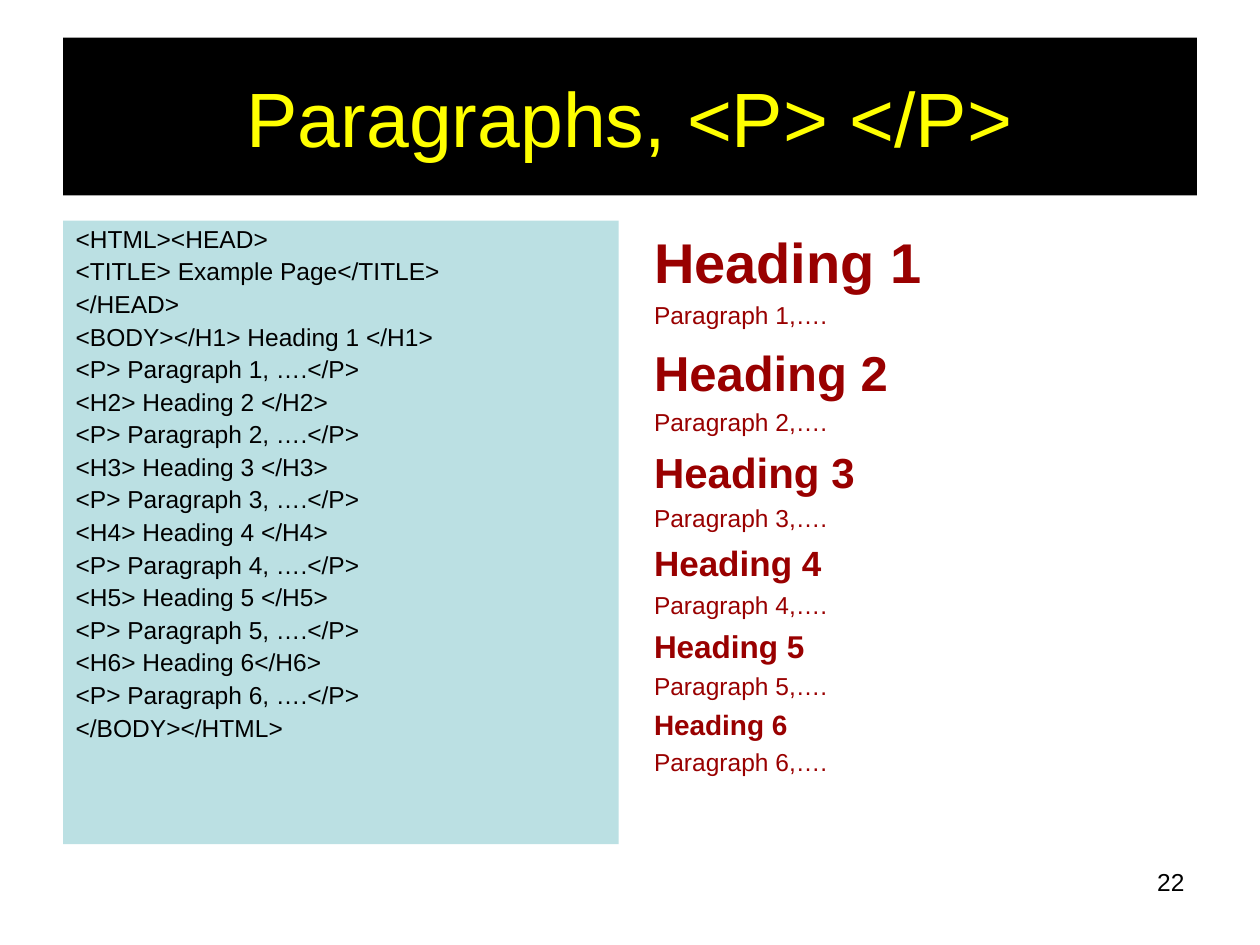
from lxml.etree import SubElement
from pptx import Presentation
from pptx.dml.color import RGBColor
from pptx.enum.text import MSO_ANCHOR as Anchor, MSO_AUTO_SIZE as Fit, PP_ALIGN as Align
from pptx.oxml.ns import qn
from pptx.util import Cm, Pt

BLACK = RGBColor(0x00, 0x00, 0x00)
YELLOW = RGBColor(0xFF, 0xFF, 0x00)
AQUA = RGBColor(0xBB, 0xE0, 0xE3)
RED = RGBColor(0x99, 0x00, 0x00)
FACE = "Arial"
SIZES = [32, 28, 24, 20, 18, 16]
BASE = 14


def place(shape, left, top, width, height, fill=None):
    """Set the box of a shape, its fill and its text frame."""
    shape.left, shape.top = Cm(left), Cm(top)
    shape.width, shape.height = Cm(width), Cm(height)
    if fill is not None:
        shape.fill.solid()
        shape.fill.fore_color.rgb = fill
    frame = shape.text_frame
    frame.word_wrap = True
    frame.auto_size = Fit.NONE
    return frame


def style(para, size, color, bold=False):
    """Format the runs of a paragraph."""
    for run in para.runs:
        font = run.font
        font.name, font.size, font.bold = FACE, Pt(size), bold
        font.color.rgb = color


def label(frame, text, size, color, align):
    """Write one aligned line."""
    frame.text = text
    para = frame.paragraphs[0]
    para.alignment = align
    style(para, size, color)


def fill_list(frame, rows, color, pitch):
    """Write rows of text, size and weight as an unbulleted list."""
    frame.vertical_anchor = Anchor.TOP
    frame.text = "\n".join(text for text, size, bold in rows)
    for i, (para, (text, size, bold)) in enumerate(zip(frame.paragraphs, rows)):
        props = para._p.get_or_add_pPr()
        props.set("marL", str(Cm(0.95)))
        props.set("indent", str(-Cm(0.95)))
        SubElement(props, qn("a:buNone"))
        para.line_spacing = pitch
        para.space_before = Pt(size / 4 if i else 0)
        style(para, size, color, bold)


def code_rows():
    """Return the lines of the page source."""
    lines = ["<HTML><HEAD>", "<TITLE> Example Page</TITLE>", "</HEAD>"]
    for n in range(1, 7):
        start = "<BODY></H1>" if n == 1 else f"<H{n}>"
        gap = "" if n == 6 else " "
        lines += [f"{start} Heading {n}{gap}</H{n}>", f"<P> Paragraph {n}, ….</P>"]
    lines.append("</BODY></HTML>")
    return [(line, BASE, False) for line in lines]


def page_rows():
    """Return the headings and paragraphs of the shown page."""
    rows = []
    for n, size in enumerate(SIZES, 1):
        rows += [(f"Heading {n}", size, True), (f"Paragraph {n},….", BASE, False)]
    return rows


def main():
    """Build the slide and save it."""
    deck = Presentation()
    deck.slide_width, deck.slide_height = Cm(25.4), Cm(19.05)
    slide = deck.slides.add_slide(deck.slide_layouts[3])
    title, code, page = slide.placeholders

    frame = place(title, 1.27, 0.76, 22.86, 3.18, BLACK)
    frame.vertical_anchor = Anchor.MIDDLE
    label(frame, "Paragraphs, <P> </P>", 44, YELLOW, Align.CENTER)

    fill_list(place(code, 1.27, 4.45, 11.2, 12.57, AQUA), code_rows(), BLACK, 0.9)
    fill_list(place(page, 12.93, 4.45, 11.2, 12.57), page_rows(), RED, 1.0)

    box = slide.shapes.add_textbox(0, 0, 0, 0)
    label(place(box, 18.21, 17.35, 5.92, 1.32), "22", BASE, BLACK, Align.RIGHT)
    deck.save("out.pptx")


if __name__ == "__main__":
    main()
